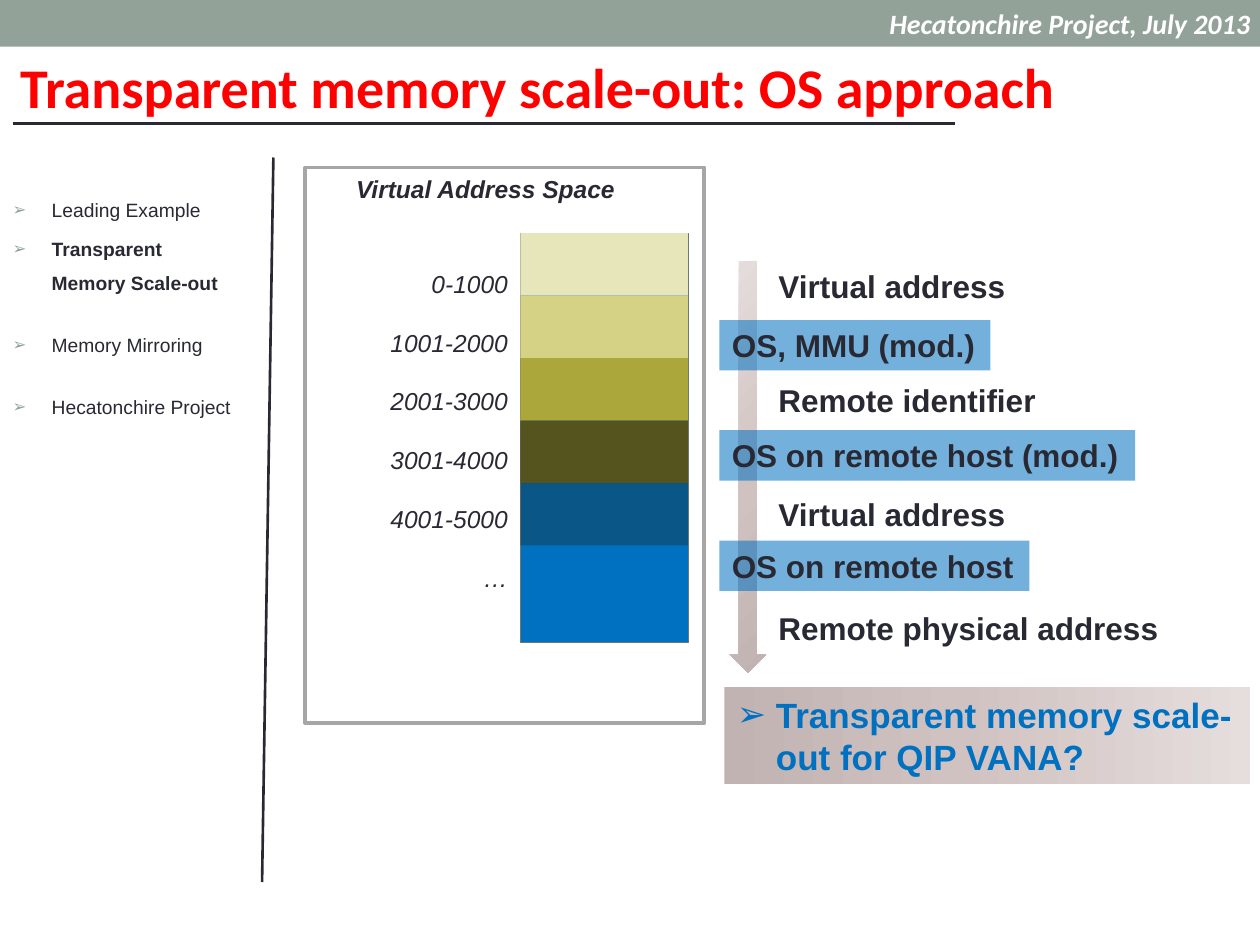
from lxml import etree
from pptx import Presentation
from pptx.dml.color import RGBColor
from pptx.enum.shapes import MSO_CONNECTOR, MSO_SHAPE
from pptx.enum.text import MSO_ANCHOR, MSO_AUTO_SIZE, PP_ALIGN
from pptx.oxml.ns import qn
from pptx.util import Inches, Pt

RECTANGLE, DOWN_ARROW = MSO_SHAPE.RECTANGLE, MSO_SHAPE.DOWN_ARROW
STRAIGHT = MSO_CONNECTOR.STRAIGHT
TOP, MIDDLE = MSO_ANCHOR.TOP, MSO_ANCHOR.MIDDLE
FIXED, GROW = MSO_AUTO_SIZE.NONE, MSO_AUTO_SIZE.SHAPE_TO_FIT_TEXT
LEFT, RIGHT = PP_ALIGN.LEFT, PP_ALIGN.RIGHT

INK = RGBColor(0x29, 0x29, 0x34)
WHITE = RGBColor(0xFF, 0xFF, 0xFF)
RED = RGBColor(0xFF, 0x00, 0x00)
BLUE = RGBColor(0x00, 0x70, 0xC0)
SAGE = RGBColor(0x93, 0xA2, 0x99)
FRAME_GREY = RGBColor(0xA6, 0xA6, 0xA6)
MEMORY_EDGE = RGBColor(0x6D, 0x78, 0x71)
SEGMENTS = [
    (RGBColor(0xE7, 0xE5, 0xBA), 100),
    (RGBColor(0xD5, 0xD2, 0x86), 100),
    (RGBColor(0xAC, 0xA7, 0x3B), 100),
    (RGBColor(0x56, 0x54, 0x1E), 100),
    (RGBColor(0x22, 0x21, 0x0C), 32),
]
MAUVE_STOPS = [
    (0, RGBColor(0xC0, 0xB3, 0xB1)),
    (45, RGBColor(0xD0, 0xC2, 0xC0)),
    (100, RGBColor(0xE5, 0xDE, 0xDD)),
]


def add_element(parent, tag, **attributes):
    element = etree.SubElement(parent, qn(tag))
    for name, value in attributes.items():
        element.set(name, str(value))
    return element


def add_box(slide, left, top, width, height, fill=None, opacity=100,
            line=None, line_width=1, kind=RECTANGLE):
    shape = slide.shapes.add_shape(
        kind, Inches(left), Inches(top), Inches(width), Inches(height))
    shape.shadow.inherit = False
    if fill is None:
        shape.fill.background()
    else:
        shape.fill.solid()
        shape.fill.fore_color.rgb = fill
        if opacity < 100:
            color = shape._element.spPr.find(".//" + qn("a:srgbClr"))
            add_element(color, "a:alpha", val=opacity * 1000)
    if line is None:
        shape.line.fill.background()
    else:
        shape.line.color.rgb = line
        shape.line.width = Pt(line_width)
    return shape


def fill_mauve(shape, radial=False):
    """Fill with the three-stop gradient, left to right or from a corner."""
    shape.fill.gradient()
    gradient = shape._element.spPr.find(qn("a:gradFill"))
    for child in list(gradient):
        gradient.remove(child)
    stops = add_element(gradient, "a:gsLst")
    for position, color in MAUVE_STOPS:
        stop = add_element(stops, "a:gs", pos=position * 1000)
        add_element(stop, "a:srgbClr", val=color)
    if radial:
        path = add_element(gradient, "a:path", path="circle")
        add_element(path, "a:fillToRect", l=100000, t=100000)
    else:
        add_element(gradient, "a:lin", ang=0, scaled=0)


def add_line(slide, start, end):
    line = slide.shapes.add_connector(
        STRAIGHT, *(Inches(value) for value in (*start, *end)))
    line.line.color.rgb = INK
    line.line.width = Pt(1.5)
    add_element(line._element.spPr, "a:effectLst")


def set_bullet(paragraph, color, percent):
    properties = paragraph._p.get_or_add_pPr()
    properties.set("marL", str(Inches(0.31)))
    properties.set("indent", str(-Inches(0.31)))
    add_element(add_element(properties, "a:buClr"), "a:srgbClr", val=color)
    add_element(properties, "a:buSzPct", val=percent * 1000)
    add_element(properties, "a:buFont", typeface="Arial")
    add_element(properties, "a:buChar", char="➢")


def write_text(shape, lines, size=18, font="Arial", color=INK, bold=False,
               italic=False, align=LEFT, spacing=None, gap=0, wrap=False,
               anchor=TOP, auto_size=GROW, bullet=None, bullet_size=100):
    frame = shape.text_frame
    frame.word_wrap = wrap
    frame.auto_size = auto_size
    frame.vertical_anchor = anchor
    for index, text in enumerate(lines):
        paragraph = frame.paragraphs[0] if index == 0 else frame.add_paragraph()
        if bullet is not None:
            set_bullet(paragraph, bullet, bullet_size)
        paragraph.alignment = align
        paragraph.space_before = Pt(gap if index else 0)
        if spacing:
            paragraph.line_spacing = spacing
        run = paragraph.add_run()
        run.text = text
        run.font.name, run.font.size = font, Pt(size)
        run.font.bold, run.font.italic = bold, italic
        run.font.color.rgb = color


def add_text(slide, lines, left, top, width, height, **text_format):
    box = slide.shapes.add_textbox(
        Inches(left), Inches(top), Inches(width), Inches(height))
    write_text(box, lines, **text_format)


def place(shape, left, top, width, height):
    shape.left, shape.top = Inches(left), Inches(top)
    shape.width, shape.height = Inches(width), Inches(height)


def add_header(slide, left, top, width):
    add_box(slide, left, top, width, 0.37, fill=SAGE)
    add_text(slide, ["Hecatonchire Project, July 2013"], left + 6.96, top,
             3.11, 0.37, size=16, font="Calibri", color=WHITE, bold=True,
             italic=True)
    title = slide.shapes.title
    place(title, left + 0.06, top + 0.37, 8.48, 0.64)
    write_text(title, ["Transparent memory scale-out: OS approach"], size=32,
               font="Calibri", color=RED, bold=True)
    add_line(slide, (left + 0.1, top + 0.98), (left + 7.58, top + 0.98))


def add_agenda(slide, left, top, width, height):
    agenda = slide.placeholders[1]
    place(agenda, left, top, width, height)
    write_text(agenda, ["Leading Example", "Transparent Memory Scale-out",
                        "Memory Mirroring", "Hecatonchire Project"],
               size=11, spacing=2.5, gap=2.2, wrap=True, auto_size=FIXED,
               bullet=SAGE, bullet_size=85)
    current = agenda.text_frame.paragraphs[1]
    current.line_spacing = 1.5
    current.runs[0].font.bold = True
    add_line(slide, (left + 2.17, top), (left + 2.08, top + 5.75))


def add_address_space(slide, left, top, width, height):
    bar_left, bar_top, bar_width = left + 1.71, top + 0.52, 1.33
    segment_height = 2.48 / len(SEGMENTS)
    add_box(slide, bar_left, bar_top, bar_width, 3.25, fill=BLUE,
            line=MEMORY_EDGE, line_width=0.25)
    for index, (color, opacity) in enumerate(SEGMENTS):
        add_box(slide, bar_left, bar_top + index * segment_height, bar_width,
                segment_height, fill=color, opacity=opacity)
    ranges = ["0-1000"] + [f"{n}001-{n + 1}000" for n in range(1, 5)] + ["…"]
    add_text(slide, ranges, left + 0.57, bar_top, 1.14, 2.93, size=14,
             italic=True, align=RIGHT, spacing=2)
    add_box(slide, left, top, width, height, line=FRAME_GREY, line_width=2.08)
    add_text(slide, ["Virtual Address Space"], left + 0.29, top, 2.27, 0.34,
             size=14, bold=True, italic=True, align=RIGHT)


def add_translation_flow(slide, left, top):
    arrow = add_box(slide, left + 0.09, top, 0.29, 3.27, kind=DOWN_ARROW)
    fill_mauve(arrow, radial=True)
    add_text(slide, ["Virtual address", "Remote identifier",
                     "Virtual address", "Remote physical address"],
             left + 0.38, top, 3.25, 3.11, bold=True, gap=43.5)
    steps = [("OS, MMU (mod.)", 2.15), ("OS on remote host (mod.)", 3.3),
             ("OS on remote host", 2.46)]
    for index, (text, width) in enumerate(steps):
        step = add_box(slide, left + 0.01, top + 0.47 + index * 0.875, width,
                       0.4, fill=BLUE, opacity=55)
        write_text(step, [text], bold=True)


def add_question(slide, left, top, width, height):
    question = add_box(slide, left, top, width, height)
    fill_mauve(question)
    write_text(question, ["Transparent memory scale-out for QIP VANA?"],
               size=20, color=BLUE, bold=True, wrap=True, anchor=MIDDLE,
               bullet=BLUE)


def main():
    presentation = Presentation()
    presentation.slide_width = Inches(10)
    presentation.slide_height = Inches(7.5)
    slide = presentation.slides.add_slide(presentation.slide_layouts[1])
    add_header(slide, 0, 0, 10)
    add_agenda(slide, 0, 1.25, 2, 4.64)
    add_address_space(slide, 2.42, 1.33, 3.17, 4.41)
    add_translation_flow(slide, 5.7, 2.07)
    add_question(slide, 5.75, 5.45, 4.17, 0.77)
    presentation.save("out.pptx")


if __name__ == "__main__":
    main()
